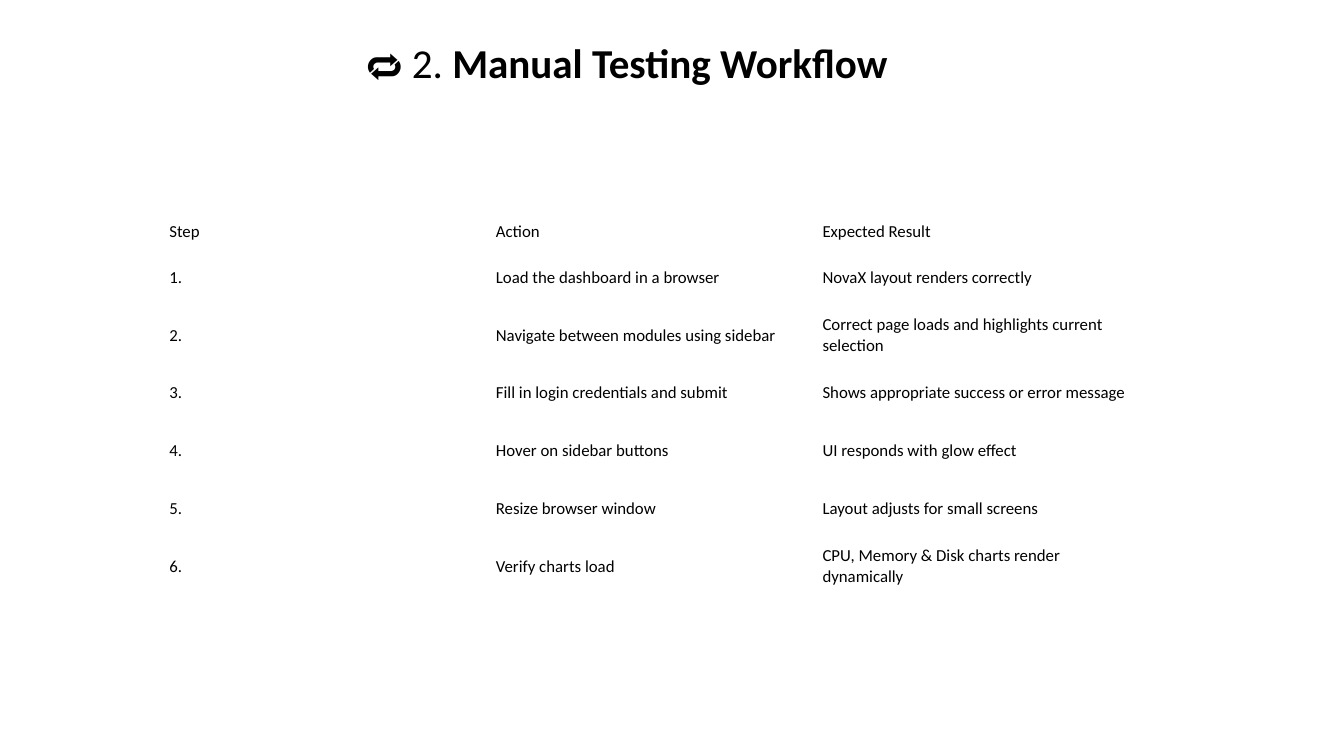
from pptx import Presentation
from pptx.dml.color import RGBColor
from pptx.enum.text import MSO_ANCHOR, PP_ALIGN
from pptx.util import Inches, Pt

BLACK = RGBColor(0x00, 0x00, 0x00)
WHITE = RGBColor(0xFF, 0xFF, 0xFF)
FONT = "Calibri"
SLIDE_WIDTH, SLIDE_HEIGHT = 20, 11.25
TITLE_BOX = (0.5, 0.3, 17.67, 1.25)
TABLE_BOX = (2.42, 3.21, 14.58, 5.65)
HEADER_HEIGHT = 0.49

HEADINGS = ("Step", "Action", "Expected Result")
STEPS = (
    ("Load the dashboard in a browser", "NovaX layout renders correctly"),
    ("Navigate between modules using sidebar",
     "Correct page loads and highlights current selection"),
    ("Fill in login credentials and submit",
     "Shows appropriate success or error message"),
    ("Hover on sidebar buttons", "UI responds with glow effect"),
    ("Resize browser window", "Layout adjusts for small screens"),
    ("Verify charts load", "CPU, Memory & Disk charts render dynamically"),
)


def add_run(paragraph, text, size, bold=False):
    run = paragraph.add_run()
    run.text = text
    run.font.name = FONT
    run.font.size = Pt(size)
    run.font.bold = bold
    run.font.color.rgb = BLACK


def add_title(slide, box):
    shape = slide.shapes.add_textbox(*map(Inches, box))
    frame = shape.text_frame
    frame.word_wrap = True
    frame.vertical_anchor = MSO_ANCHOR.MIDDLE
    paragraph = frame.paragraphs[0]
    paragraph.alignment = PP_ALIGN.CENTER
    add_run(paragraph, "🔁 2. ", 44)
    add_run(paragraph, "Manual Testing Workflow", 44, bold=True)


def add_steps_table(slide, box):
    rows = [HEADINGS]
    rows += [(f"{number}.", *step) for number, step in enumerate(STEPS, 1)]
    shape = slide.shapes.add_table(len(rows), len(HEADINGS), *map(Inches, box))
    table = shape.table
    table.first_row = False
    table.horz_banding = False
    step_height = (box[3] - HEADER_HEIGHT) / len(STEPS)
    for column in table.columns:
        column.width = Inches(box[2] / len(HEADINGS))
    for index, values in enumerate(rows):
        table.rows[index].height = Inches(step_height if index else HEADER_HEIGHT)
        for cell, text in zip(table.rows[index].cells, values):
            cell.fill.solid()
            cell.fill.fore_color.rgb = WHITE
            cell.vertical_anchor = MSO_ANCHOR.MIDDLE
            add_run(cell.text_frame.paragraphs[0], text, 18)


def main():
    presentation = Presentation()
    presentation.slide_width = Inches(SLIDE_WIDTH)
    presentation.slide_height = Inches(SLIDE_HEIGHT)
    slide = presentation.slides.add_slide(presentation.slide_layouts[6])
    add_title(slide, TITLE_BOX)
    add_steps_table(slide, TABLE_BOX)
    presentation.save("out.pptx")


if __name__ == "__main__":
    main()
